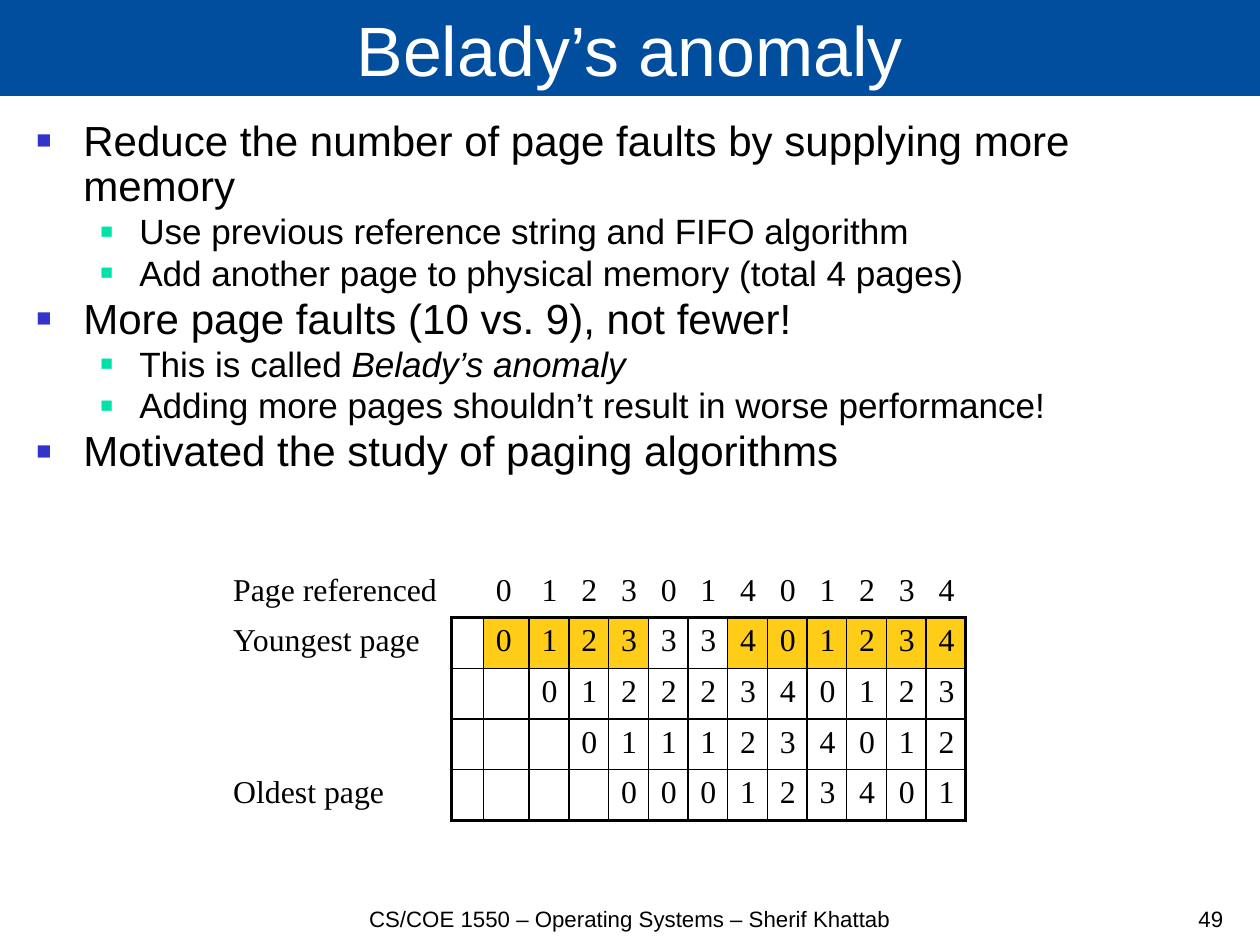
import pptx
import pptx.dml.color
import pptx.enum.shapes
import pptx.enum.text
import pptx.oxml
import pptx.oxml.ns
import pptx.util
from lxml import etree

Inches = pptx.util.Inches
Pt = pptx.util.Pt
ALIGN = pptx.enum.text.PP_ALIGN
ANCHOR = pptx.enum.text.MSO_ANCHOR

# The page measures 28 by 21 centimetres
CM_PER_INCH = 2.54
PAGE_WIDTH = 28 / CM_PER_INCH
PAGE_HEIGHT = 21 / CM_PER_INCH

COLORS = {
    "banner": "004E9D",
    "banner_text": "FFFFFF",
    "text": "000000",
    "main_bullet": "3333CC",
    "sub_bullet": "00E3A8",
    "fault": "FFCC18",
    "grid": "000000",
}

# Per level: text size, left margin, hanging indent, bullet colour
LEVELS = [(26.5, 0.41, 0.41, "main_bullet"), (22.1, 0.9, 0.34, "sub_bullet")]

# Level, then runs of (text, italic)
POINTS = [
    (0, [("Reduce the number of page faults by supplying more memory", False)]),
    (1, [("Use previous reference string and FIFO algorithm", False)]),
    (1, [("Add another page to physical memory (total 4 pages)", False)]),
    (0, [("More page faults (10 vs. 9), not fewer!", False)]),
    (1, [("This is called ", False), ("Belady’s anomaly", True)]),
    (1, [("Adding more pages shouldn’t result in worse performance!", False)]),
    (0, [("Motivated the study of paging algorithms", False)]),
]

# Row label, then one digit per reference, aligned to the right
PAGE_ROWS = [
    ("Page referenced", "012301401234"),
    ("Youngest page", "012333401234"),
    ("", "01222340123"),
    ("", "0111234012"),
    ("Oldest page", "000123401"),
]
FAULT_COLUMNS = {2, 3, 4, 5, 8, 9, 10, 11, 12, 13}
THIN, THICK = 1, 2.25


def rgb(name):
    return pptx.dml.color.RGBColor.from_string(COLORS[name])


def add_run(paragraph, text, size, color="text", face="Arial", italic=False):
    run = paragraph.add_run()
    run.text = text
    run.font.size = Pt(size)
    run.font.name = face
    run.font.italic = italic
    run.font.color.rgb = rgb(color)


def add_banner(slide, left, top, width, height):
    banner = slide.shapes.add_shape(
        pptx.enum.shapes.MSO_SHAPE.RECTANGLE,
        Inches(left), Inches(top), Inches(width), Inches(height))
    banner.shadow.inherit = False
    banner.fill.solid()
    banner.fill.fore_color.rgb = rgb("banner")
    banner.line.fill.background()
    banner.text_frame.vertical_anchor = ANCHOR.BOTTOM
    heading = banner.text_frame.paragraphs[0]
    heading.alignment = ALIGN.CENTER
    add_run(heading, "Belady’s anomaly", 44, "banner_text")


def add_bullet(paragraph, margin, hanging, color):
    properties = paragraph._p.get_or_add_pPr()
    properties.set("marL", str(Inches(margin)))
    properties.set("indent", str(-Inches(hanging)))
    ns = pptx.oxml.ns.nsdecls("a")
    for xml in (
        f'<a:buClr {ns}><a:srgbClr val="{COLORS[color]}"/></a:buClr>',
        f'<a:buSzPct {ns} val="60000"/>',
        f'<a:buFont {ns} typeface="Arial"/>',
        f'<a:buChar {ns} char="■"/>',
    ):
        properties.append(pptx.oxml.parse_xml(xml))


def add_points(slide, left, top, width, height):
    body = slide.shapes.add_textbox(
        Inches(left), Inches(top), Inches(width), Inches(height)).text_frame
    body.word_wrap = True
    for index, (level, runs) in enumerate(POINTS):
        point = body.add_paragraph() if index else body.paragraphs[0]
        size, margin, hanging, color = LEVELS[level]
        point.level = level
        add_bullet(point, margin, hanging, color)
        point.line_spacing = 0.9
        if index:
            point.space_before = Pt(size * 0.1)
        for text, italic in runs:
            add_run(point, text, size, italic=italic)


def set_borders(cell, widths):
    properties = cell._tc.get_or_add_tcPr()
    for side, width in zip("LRTB", widths):
        line = etree.SubElement(properties, pptx.oxml.ns.qn(f"a:ln{side}"))
        line.set("w", str(Pt(width)))
        if width:
            solid = etree.SubElement(line, pptx.oxml.ns.qn("a:solidFill"))
            color = etree.SubElement(solid, pptx.oxml.ns.qn("a:srgbClr"))
            color.set("val", COLORS["grid"])
        else:
            etree.SubElement(line, pptx.oxml.ns.qn("a:noFill"))


def border_widths(row, column, last_row, last_column):
    """Left, right, top and bottom: a thick frame around a thin grid."""
    if row and column:
        return (THICK if column == 1 else THIN,
                THICK if column == last_column else THIN,
                THICK if row == 1 else THIN,
                THICK if row == last_row else THIN)
    return (0, THICK if row else 0, 0, THICK if column else 0)


def add_page_table(slide, left, top, width, height):
    references = len(PAGE_ROWS[0][1])
    column_count = references + 2
    table = slide.shapes.add_table(
        len(PAGE_ROWS), column_count,
        Inches(left), Inches(top), Inches(width), Inches(height)).table
    table.first_row = False
    table.horz_banding = False

    # Label, empty frame, first reference, then equal columns
    lead = [2.02, 0.28, 0.4]
    equal = (width - sum(lead)) / (column_count - len(lead))
    for index, column in enumerate(table.columns):
        column.width = Inches(lead[index] if index < len(lead) else equal)

    for row, (label, pages) in enumerate(PAGE_ROWS):
        table.rows[row].height = Inches(height / len(PAGE_ROWS))
        for column, text in enumerate([label, *pages.rjust(references + 1)]):
            cell = table.cell(row, column)
            cell.margin_left = cell.margin_right = Inches(0.11)
            cell.margin_top = cell.margin_bottom = Inches(0.05)
            set_borders(cell, border_widths(
                row, column, len(PAGE_ROWS) - 1, column_count - 1))
            if row == 1 and column in FAULT_COLUMNS:
                cell.fill.solid()
                cell.fill.fore_color.rgb = rgb("fault")
            else:
                cell.fill.background()
            if text.strip():
                add_run(cell.text_frame.paragraphs[0], text, 20,
                        face="Times New Roman")


def add_footer(slide, text, alignment, left, top, width, height):
    footer = slide.shapes.add_textbox(
        Inches(left), Inches(top), Inches(width), Inches(height)).text_frame
    footer.word_wrap = True
    footer.vertical_anchor = ANCHOR.BOTTOM
    footer.paragraphs[0].alignment = alignment
    add_run(footer.paragraphs[0], text, 14)


def main():
    deck = pptx.Presentation()
    deck.slide_width = Inches(PAGE_WIDTH)
    deck.slide_height = Inches(PAGE_HEIGHT)
    slide = deck.slides.add_slide(deck.slide_layouts[6])
    add_banner(slide, 0, -0.01, PAGE_WIDTH, 0.85)
    add_points(slide, 0.22, 1, 10.58, 6.72)
    add_footer(slide, "CS/COE 1550 – Operating Systems – Sherif Khattab",
               ALIGN.CENTER, 2.25, 7.9, 6.52, 0.3)
    add_footer(slide, "49", ALIGN.RIGHT, 10.34, 7.9, 0.46, 0.3)
    add_page_table(slide, 1.93, 4.96, 6.52, 2.22)
    deck.save("out.pptx")


if __name__ == "__main__":
    main()
